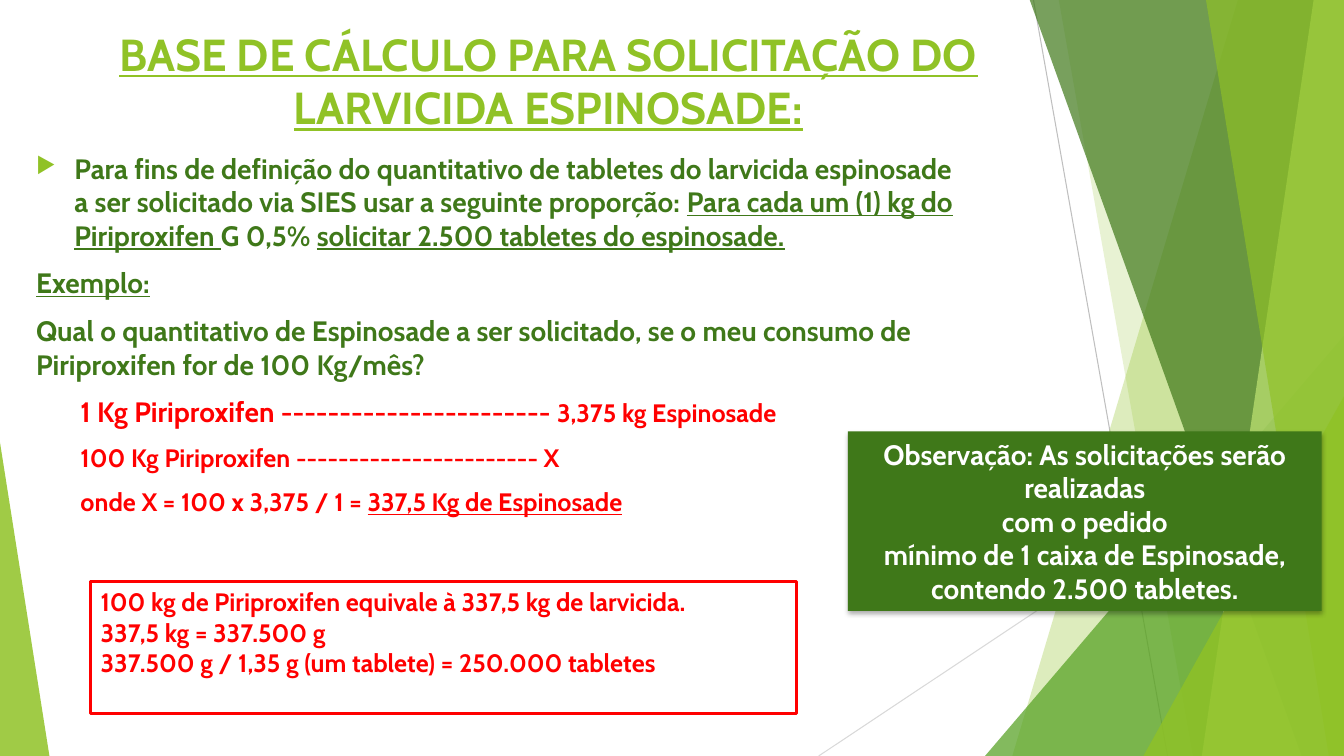
from dataclasses import dataclass

from lxml import etree
from pptx import Presentation
from pptx import util as u
from pptx.dml.color import RGBColor
from pptx.enum import shapes, text
from pptx.oxml import ns


@dataclass(frozen=True)
class Theme:
    font: str = "Cabin"
    lime: str = "90C226"
    pale: str = "C0E474"
    leaf: str = "54A021"
    forest: str = "3F7819"
    red: str = "FF0000"
    white: str = "FFFFFF"
    title: int = 32
    body: int = 20
    small: int = 18


theme = Theme()
PX = 9144


def write(paragraph, content, size=theme.body, color=theme.forest, underline=False):
    run = paragraph.add_run()
    run.text = content
    run.font.name = theme.font
    run.font.size = u.Pt(size)
    run.font.bold = True
    run.font.underline = underline
    run.font.color.rgb = RGBColor.from_string(color)


def paint(shape, color, opacity=100):
    shape.shadow.inherit = False
    shape.line.fill.background()
    shape.fill.solid()
    shape.fill.fore_color.rgb = RGBColor.from_string(color)
    if opacity < 100:
        solid = shape.fill._xPr.find(ns.qn("a:solidFill"))
        etree.SubElement(solid[0], ns.qn("a:alpha"), val=str(opacity * 1000))


presentation = Presentation()
presentation.slide_width = 1333 * PX
presentation.slide_height = 750 * PX
slide = presentation.slides.add_slide(presentation.slide_layouts[5])

for x1, y1, x2, y2, color in [
    (1025, 0, 1158, 750, "BFBFBF"),
    (1333, 403, 812, 750, "D9D9D9"),
]:
    line = slide.shapes.add_connector(
        shapes.MSO_CONNECTOR.STRAIGHT, x1 * PX, y1 * PX, x2 * PX, y2 * PX
    )
    line.line.color.rgb = RGBColor.from_string(color)
    line.line.width = u.Pt(0.75)
    etree.SubElement(line.element.spPr, ns.qn("a:effectLst"))

for kind, place, color, opacity in [
    ("band", (1228, 1004), theme.lime, 30),
    ("band", (1050, 1183), theme.lime, 20),
    ("triangle", (977, 333, 356, 417, 1), theme.leaf, 72),
    ("band", (1021, 1291), theme.forest, 70),
    ("band", (1303, 1192), theme.pale, 70),
    ("band", (1196, 1318), theme.lime, 65),
    ("triangle", (1134, 393, 199, 357, 1), theme.lime, 80),
    ("triangle", (0, 439, 49, 311, 0), theme.lime, 85),
]:
    if kind == "band":
        top_x, bottom_x = place
        builder = slide.shapes.build_freeform(top_x, -1, scale=PX)
        builder.add_line_segments([(1333, -1), (1333, 750), (bottom_x, 750)], close=True)
        facet = builder.convert_to_shape()
    else:
        left, top, width, height, apex = place
        facet = slide.shapes.add_shape(
            shapes.MSO_SHAPE.ISOSCELES_TRIANGLE, left * PX, top * PX, width * PX, height * PX
        )
        facet.adjustments[0] = apex
    paint(facet, color, opacity)

title = slide.shapes.title
title.left, title.top, title.width, title.height = [n * PX for n in (74, 20, 940, 119)]
title.element.getparent().append(title.element)
title.text_frame.word_wrap = True
title.text_frame.auto_size = text.MSO_AUTO_SIZE.NONE
title.text_frame.vertical_anchor = text.MSO_ANCHOR.MIDDLE
title.text_frame.paragraphs[0].alignment = text.PP_ALIGN.CENTER
write(
    title.text_frame.paragraphs[0],
    "BASE DE CÁLCULO PARA SOLICITAÇÃO DO LARVICIDA ESPINOSADE:",
    size=theme.title, color=theme.lime, underline=True,
)

body = slide.shapes.add_textbox(26 * PX, 145 * PX, 940 * PX, 424 * PX)
body.text_frame.word_wrap = True
underlined = {"underline": True}
red = {"color": theme.red}
red_small = {"color": theme.red, "size": theme.small}
body_paragraphs = [
    (38, [
        ("Para fins de definição do quantitativo de tabletes do larvicida espinosade "
         "a ser solicitado via SIES usar a seguinte proporção: ", {}),
        ("Para cada um (1) kg do Piriproxifen ", underlined),
        ("G 0,5% ", {}),
        ("solicitar 2.500 tabletes do espinosade.", underlined),
    ]),
    (0, [("Exemplo:", underlined)]),
    (0, [("Qual o quantitativo de Espinosade a ser solicitado, se o meu consumo de "
          "Piriproxifen for de 100 Kg/mês?", {})]),
    (44, [("1 Kg Piriproxifen ----------------------- ", red),
          ("3,375 kg Espinosade", red_small)]),
    (44, [("100 Kg Piriproxifen ----------------------- X", red_small)]),
    (44, [("onde X = 100 x 3,375 / 1 = ", red_small),
          ("337,5 Kg de Espinosade", red_small | underlined)]),
]
for index, (margin, runs) in enumerate(body_paragraphs):
    paragraph = body.text_frame.add_paragraph() if index else body.text_frame.paragraphs[0]
    paragraph.space_before = u.Pt(10)
    for content, style in runs:
        write(paragraph, content, **style)
    properties = paragraph._p.get_or_add_pPr()
    properties.set("marL", str(margin * PX))
    if index == 0:
        properties.set("indent", str(-margin * PX))
        bullet_color = etree.SubElement(properties, ns.qn("a:buClr"))
        etree.SubElement(bullet_color, ns.qn("a:srgbClr"), val=theme.lime)
        etree.SubElement(properties, ns.qn("a:buSzPct"), val="80000")
        etree.SubElement(properties, ns.qn("a:buChar"), char="▶")

for place, fill, color, size, anchor, alignment, lines in [
    ((90, 577, 700, 131), None, theme.red, theme.small,
     text.MSO_ANCHOR.TOP, text.PP_ALIGN.LEFT, [
         "100 kg de Piriproxifen equivale à 337,5 kg de larvicida.",
         "337,5 kg = 337.500 g",
         "337.500 g / 1,35 g (um tablete) = 250.000 tabletes",
     ]),
    ((841, 428, 470, 178), theme.forest, theme.white, theme.body,
     text.MSO_ANCHOR.MIDDLE, text.PP_ALIGN.CENTER, [
         "Observação: As solicitações serão realizadas",
         "com o pedido",
         "mínimo de 1 caixa de Espinosade, contendo 2.500 tabletes.",
     ]),
]:
    box = slide.shapes.add_shape(shapes.MSO_SHAPE.RECTANGLE, *[n * PX for n in place])
    if fill:
        paint(box, fill)
        effects = box.element.spPr.find(ns.qn("a:effectLst"))
        shadow = etree.SubElement(
            effects, ns.qn("a:outerShdw"), blurRad=str(u.Pt(3.5)), dist=str(u.Pt(2.2)),
            dir="5400000", algn="t", rotWithShape="0",
        )
        shadow_color = etree.SubElement(shadow, ns.qn("a:srgbClr"), val="000000")
        etree.SubElement(shadow_color, ns.qn("a:alpha"), val="32000")
    else:
        box.shadow.inherit = False
        box.fill.background()
        box.line.color.rgb = RGBColor.from_string(color)
        box.line.width = u.Pt(2.25)
    frame = box.text_frame
    frame.word_wrap = True
    frame.vertical_anchor = anchor
    for index, content in enumerate(lines):
        paragraph = frame.add_paragraph() if index else frame.paragraphs[0]
        paragraph.alignment = alignment
        write(paragraph, content, size=size, color=color)

presentation.save("out.pptx")
